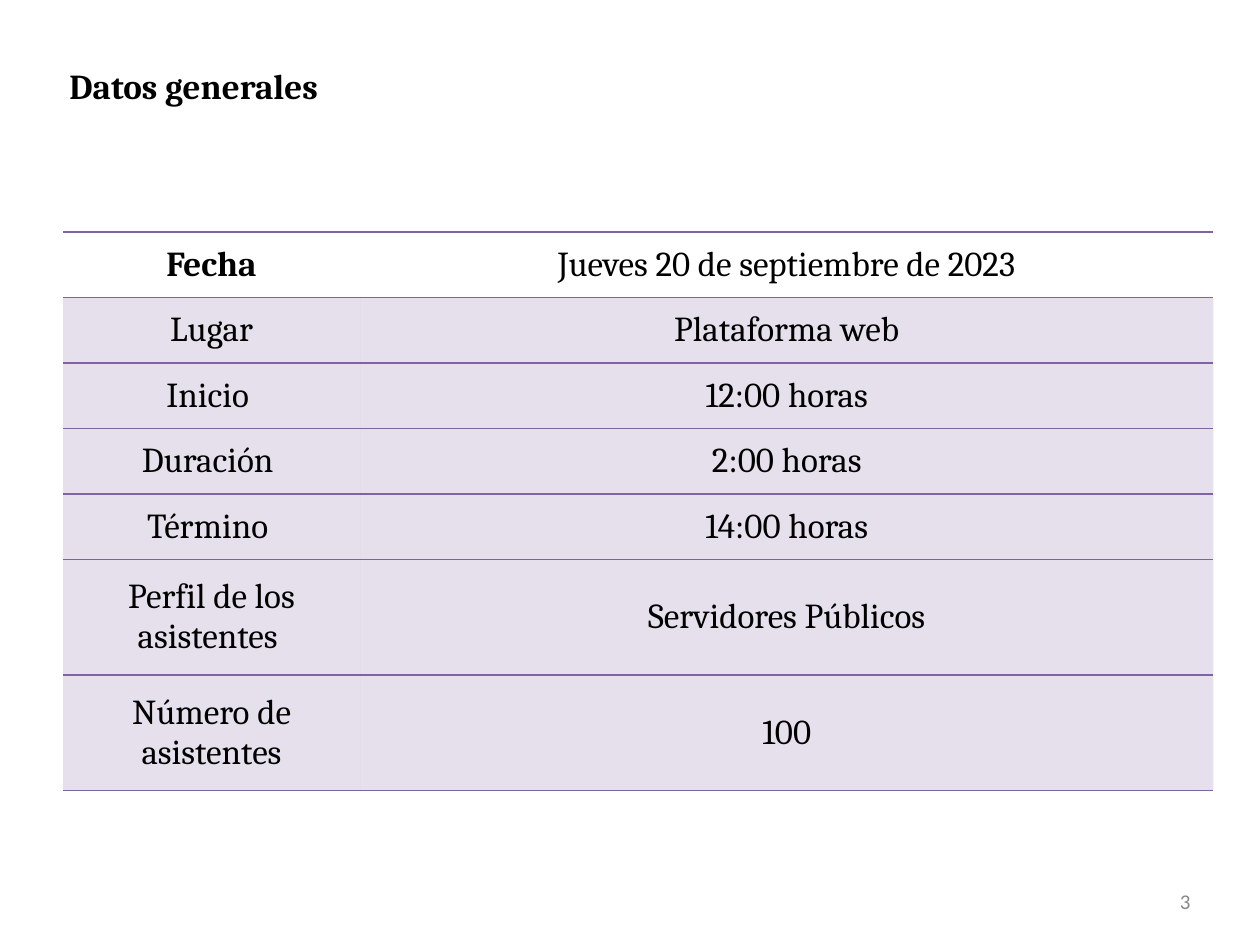
import pptx
import pptx.util
import pptx.dml.color
import pptx.enum.text
import pptx.oxml
import pptx.oxml.ns

Cm = pptx.util.Cm
Pt = pptx.util.Pt
RGB = pptx.dml.color.RGBColor
ALIGN = pptx.enum.text.PP_ALIGN
MIDDLE = pptx.enum.text.MSO_ANCHOR.MIDDLE

BLACK = RGB(0x00, 0x00, 0x00)
GRAY = RGB(0x88, 0x88, 0x88)
PURPLE = RGB(0x80, 0x64, 0xA2)
PAD = Cm(0.13)
PLAIN = "{2D5ABB26-0587-4C30-8999-92F81FD0307C}"

ROWS = [
    ("Fecha", "Jueves 20 de septiembre de 2023", 1.32),
    ("Lugar", "Plataforma web", 1.32),
    ("Inicio ", "12:00 horas", 1.32),
    ("Duración ", "2:00 horas", 1.32),
    ("Término ", "14:00 horas", 1.32),
    ("Perfil de los asistentes ", "Servidores Públicos", 2.33),
    ("Número de asistentes", "100", 2.33),
]


def set_pad(box):
    box.margin_left = box.margin_right = PAD
    box.margin_top = box.margin_bottom = PAD
    box.vertical_anchor = MIDDLE


def add_run(frame, text, align, size=20, face="Cambria", color=BLACK, bold=False):
    para = frame.paragraphs[0]
    para.alignment = align
    run = para.add_run()
    run.text = text
    run.font.size = Pt(size)
    run.font.name = face
    run.font.color.rgb = color
    run.font.bold = bold


def add_line(cell, side):
    space = pptx.oxml.ns.nsdecls("a")
    cell._tc.get_or_add_tcPr().append(pptx.oxml.parse_xml(
        f'<a:{side} {space} w="12700"><a:solidFill><a:srgbClr val="{PURPLE}"/>'
        f'</a:solidFill></a:{side}>'))


def fill_tint(cell):
    cell.fill.solid()
    cell.fill.fore_color.rgb = PURPLE
    tint = cell._tc.tcPr.find(".//" + pptx.oxml.ns.qn("a:solidFill") + "[last()]")
    tint = cell._tc.tcPr.find(pptx.oxml.ns.qn("a:solidFill"))
    alpha = pptx.oxml.parse_xml(
        f'<a:alpha {pptx.oxml.ns.nsdecls("a")} val="20000"/>')
    tint[0].append(alpha)


def set_title(slide, text):
    title = slide.shapes.title
    title.left, title.top = Cm(1.27), Cm(0.56)
    title.width, title.height = Cm(22.86), Cm(2.34)
    set_pad(title.text_frame)
    add_run(title.text_frame, text, ALIGN.JUSTIFY, bold=True)


def add_grid(slide):
    high = sum(row[2] for row in ROWS)
    table = slide.shapes.add_table(
        len(ROWS), 2, Cm(1.27), Cm(4.68), Cm(23.19), Cm(high)).table
    table.first_row = table.horz_banding = False
    table._tbl.tblPr.find(pptx.oxml.ns.qn("a:tableStyleId")).text = PLAIN
    table.columns[0].width = Cm(5.99)
    table.columns[1].width = Cm(17.2)
    for r, (label, value, tall) in enumerate(ROWS):
        table.rows[r].height = Cm(tall)
        for c, text in enumerate((label, value)):
            cell = table.cell(r, c)
            set_pad(cell)
            add_run(cell.text_frame, text, ALIGN.CENTER, bold=r == c == 0)
            if r == 0:
                add_line(cell, "lnT")
            add_line(cell, "lnB")
            if r == 0:
                cell.fill.background()
            else:
                fill_tint(cell)


def add_number(slide, text):
    box = slide.shapes.add_textbox(Cm(23.62), Cm(17.83), Cm(0.51), Cm(0.69))
    frame = box.text_frame
    set_pad(frame)
    frame.word_wrap = False
    frame.auto_size = pptx.enum.text.MSO_AUTO_SIZE.SHAPE_TO_FIT_TEXT
    add_run(frame, text, ALIGN.RIGHT, 12, "Calibri", GRAY)


def main():
    deck = pptx.Presentation()
    deck.slide_width, deck.slide_height = Cm(25.4), Cm(19.05)
    slide = deck.slides.add_slide(deck.slide_layouts[5])
    set_title(slide, "Datos generales")
    add_grid(slide)
    add_number(slide, "3")
    deck.save("out.pptx")


if __name__ == "__main__":
    main()
